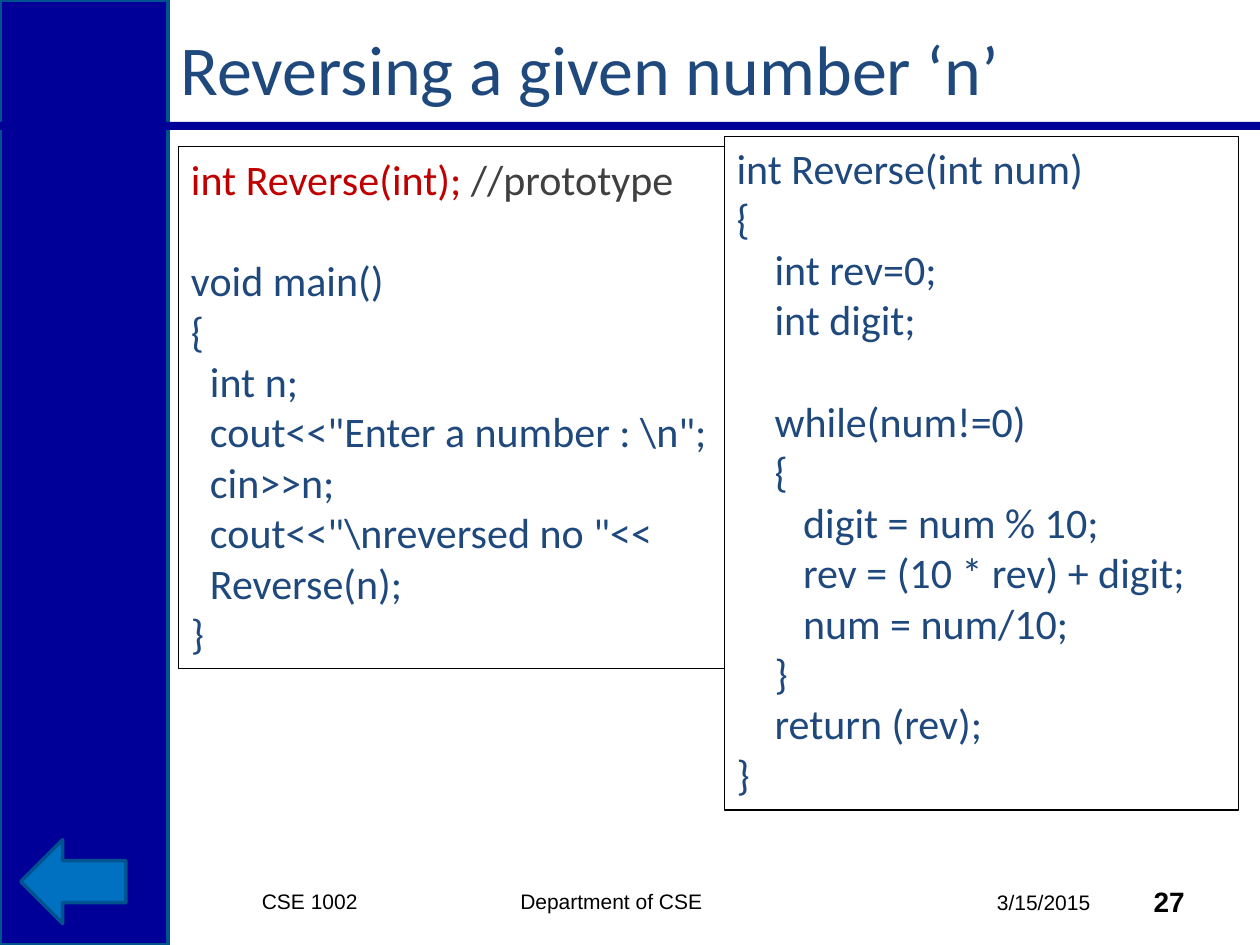
from dataclasses import dataclass

from lxml.etree import SubElement
from pptx import Presentation
from pptx.dml.color import RGBColor as RGB
from pptx.enum.shapes import MSO_SHAPE as SHAPE
from pptx.enum.text import MSO_ANCHOR as ANCHOR
from pptx.enum.text import MSO_AUTO_SIZE as FIT
from pptx.enum.text import PP_ALIGN as ALIGN
from pptx.oxml.ns import qn
from pptx.util import Cm, Pt


@dataclass(frozen=True)
class Theme:
    navy: RGB = RGB(0x00, 0x00, 0x99)
    edge: RGB = RGB(0x00, 0x53, 0x8E)
    arrow: RGB = RGB(0x00, 0x70, 0xC0)
    ink: RGB = RGB(0x1F, 0x49, 0x7D)
    red: RGB = RGB(0xC0, 0x00, 0x00)
    grey: RGB = RGB(0x40, 0x40, 0x40)
    black: RGB = RGB(0x00, 0x00, 0x00)
    body_font: str = "Calibri"
    footer_font: str = "Arial"
    title_size: int = 40
    code_size: int = 24
    code_line: float = 29.3
    footer_size: int = 12
    number_size: int = 16


MAIN_CODE = r'''int Reverse(int); //prototype

void main()
{
  int n;
  cout<<"Enter a number : \n";
  cin>>n;
  cout<<"\nreversed no "<<
  Reverse(n);
}'''

REVERSE_CODE = '''int Reverse(int num)
{
    int rev=0;
    int digit;

    while(num!=0)
    {
       digit = num % 10;
       rev = (10 * rev) + digit;
       num = num/10;
    }
    return (rev);
}'''


class SlideBuilder:
    def __init__(self, prs, theme):
        self.t = theme
        self.s = prs.slides.add_slide(prs.slide_layouts[5])

    def set_font(self, r, size, color, name=None, bold=False):
        values = {"name": name or self.t.body_font, "size": Pt(size), "bold": bold}
        for key, value in values.items():
            setattr(r.font, key, value)
        r.font.color.rgb = color

    def title(self, text, box):
        sp = self.s.shapes.title
        for key, value in zip(("left", "top", "width", "height"), box):
            setattr(sp, key, Cm(value))
        tf = sp.text_frame
        tf.word_wrap, tf.vertical_anchor = True, ANCHOR.MIDDLE
        p = tf.paragraphs[0]
        p.alignment = ALIGN.LEFT
        r = p.add_run()
        r.text = text
        self.set_font(r, self.t.title_size, self.t.ink)

    def shape(self, kind, box, fill=None, line=None, width=2):
        sp = self.s.shapes.add_shape(kind, *map(Cm, box))
        sp.shadow.inherit = False
        if fill is None:
            sp.fill.background()
        else:
            sp.fill.solid()
            sp.fill.fore_color.rgb = fill
        if line is None:
            sp.line.fill.background()
        else:
            sp.line.color.rgb = line
            sp.line.width = Pt(width)
        return sp

    def code(self, text, box, marked=None):
        """Framed listing; marked is a (code, comment) pair coloured apart."""
        tf = self.shape(SHAPE.RECTANGLE, box, line=self.t.black, width=0.75).text_frame
        tf.word_wrap, tf.vertical_anchor = True, ANCHOR.TOP
        tf.auto_size = FIT.SHAPE_TO_FIT_TEXT
        p = tf.paragraphs[0]
        for block_no, block in enumerate(text.split("\n\n")):
            for line_no, line in enumerate(block.split("\n")):
                if block_no or line_no:
                    p = tf.add_paragraph()
                if block_no and not line_no:
                    p.space_before = Pt(self.t.code_line)
                p.alignment = ALIGN.LEFT
                if marked and line == "".join(marked):
                    parts = zip(marked, (self.t.red, self.t.grey))
                else:
                    parts = [(line, self.t.ink)]
                for part, color in parts:
                    r = p.add_run()
                    r.text = part
                    self.set_font(r, self.t.code_size, color)

    def footer(self, text, box, size, align=ALIGN.RIGHT, bold=False, inset=0.25, tab=None):
        tf = self.s.shapes.add_textbox(*map(Cm, box)).text_frame
        tf.word_wrap, tf.vertical_anchor = True, ANCHOR.MIDDLE
        tf.margin_left = Cm(inset)
        p = tf.paragraphs[0]
        p.alignment = align
        if tab:
            stops = SubElement(p._p.get_or_add_pPr(), qn("a:tabLst"))
            SubElement(stops, qn("a:tab"), pos=str(Cm(tab)), algn="l")
        r = p.add_run()
        r.text = text
        self.set_font(r, size, self.t.black, self.t.footer_font, bold)


def main():
    prs = Presentation()
    prs.slide_width, prs.slide_height = Cm(25.4), Cm(19.05)
    t = Theme()
    b = SlideBuilder(prs, t)

    b.shape(SHAPE.RECTANGLE, (0, 0, 3.39, 19.05), t.navy, t.edge)
    b.shape(SHAPE.RECTANGLE, (0, 2.46, 25.4, 0.16), t.navy)
    b.footer("3/15/2015", (17.78, 17.68, 4.45, 1.02), t.footer_size)
    b.footer("27", (22.23, 17.65, 1.9, 1.02), t.number_size, bold=True)
    b.footer("CSE 1002\tDepartment of CSE", (3.6, 17.65, 12.28, 1.02),
             t.footer_size, ALIGN.LEFT, inset=1.68, tab=5.21)
    b.title("Reversing a given number ‘n’", (3.39, 0.42, 21.59, 1.9))
    b.code(MAIN_CODE, (3.6, 2.96, 11, 10.52), ("int Reverse(int);", " //prototype"))
    b.code(REVERSE_CODE, (14.6, 2.75, 10.37, 13.58))
    b.shape(SHAPE.LEFT_ARROW, (0.42, 16.93, 2.12, 1.69), t.arrow, t.edge)

    prs.save("out.pptx")


if __name__ == "__main__":
    main()
